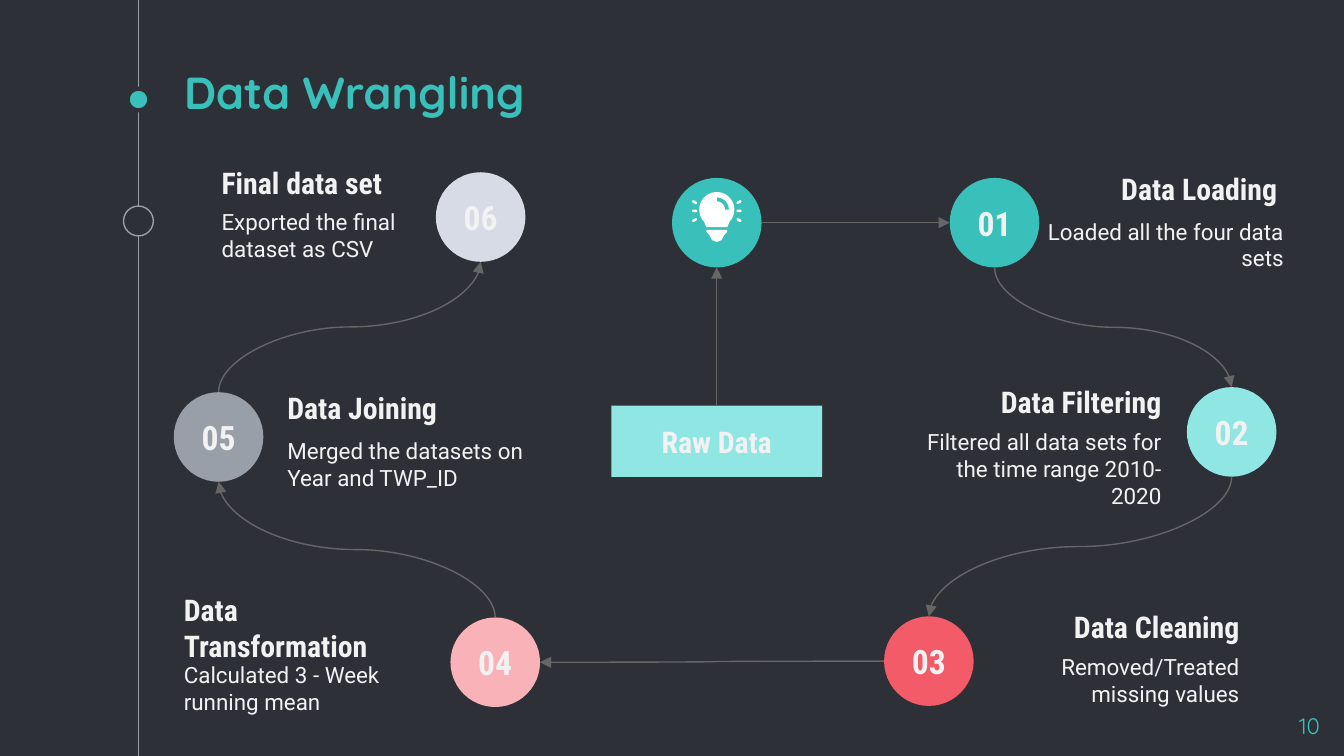
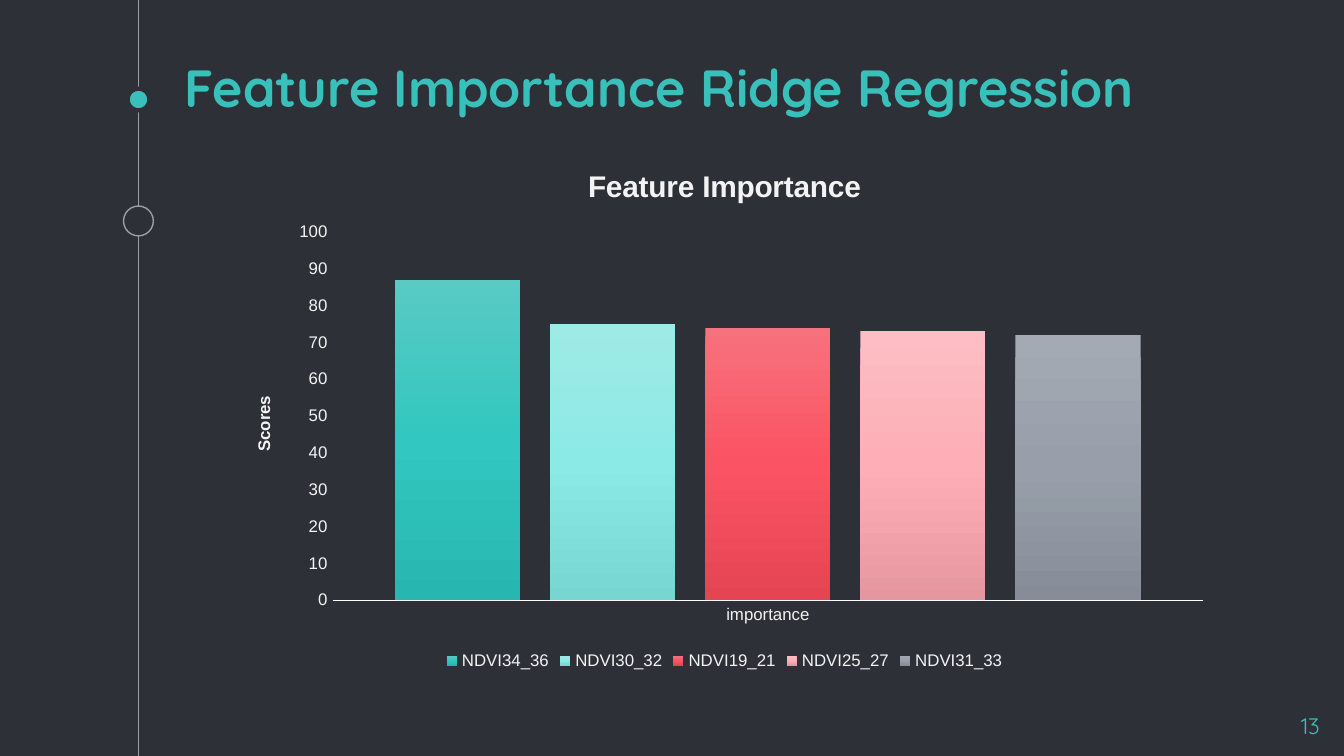
from copy import deepcopy
from math import cos, radians, sin

from lxml import etree
from pptx import Presentation
from pptx.chart.data import CategoryChartData
from pptx.dml.color import RGBColor
from pptx.enum.chart import XL_CHART_TYPE, XL_LEGEND_POSITION, XL_TICK_MARK
from pptx.enum.shapes import MSO_CONNECTOR, MSO_SHAPE
from pptx.enum.text import MSO_ANCHOR, MSO_AUTO_SIZE, PP_ALIGN
from pptx.oxml.ns import qn
from pptx.util import Pt

LEFT, CENTER, RIGHT = PP_ALIGN.LEFT, PP_ALIGN.CENTER, PP_ALIGN.RIGHT
TOP, MIDDLE, BOTTOM = MSO_ANCHOR.TOP, MSO_ANCHOR.MIDDLE, MSO_ANCHOR.BOTTOM
OVAL, RECTANGLE = MSO_SHAPE.OVAL, MSO_SHAPE.RECTANGLE
ROUNDED = MSO_SHAPE.ROUNDED_RECTANGLE
STRAIGHT, CURVE = MSO_CONNECTOR.STRAIGHT, MSO_CONNECTOR.CURVE
COLUMNS = XL_CHART_TYPE.COLUMN_CLUSTERED
LEGEND_BOTTOM = XL_LEGEND_POSITION.BOTTOM
NO_TICK = XL_TICK_MARK.NONE
NO_AUTOFIT = MSO_AUTO_SIZE.NONE

HEX = {
    "night": "2E3037", "teal": "39C0BA", "aqua": "90E6E2", "red": "F35B69",
    "pink": "FAB2B9", "grey": "999FA9", "mist": "D7DBE6", "text": "F2F2F2",
    "arrow": "666666", "white": "FFFFFF", "axis": "FDFDFD", "label": "F3F3F3",
}
COLOUR = {name: RGBColor.from_string(value) for name, value in HEX.items()}

HEADING = {"name": "Roboto Condensed", "size": Pt(16), "bold": True}
NUMBER = {**HEADING, "size": Pt(18)}
BODY = {"name": "Roboto", "size": Pt(12), "bold": False}
PAGE = {"name": "Quicksand", "size": Pt(12), "bold": False}
CHART_LABEL = {"name": "Arial", "size": Pt(9), "bold": False}


def put(slide, box, kind=None, fill=None, line=None, text="", font=None,
        align=CENTER, anchor=MIDDLE, colour="text"):
    box = [Pt(length) for length in box]
    if kind is None:
        shape = slide.shapes.add_textbox(*box)
    else:
        shape = slide.shapes.add_shape(kind, *box)
        shape.shadow.inherit = False
        shape.fill.solid()
        shape.fill.fore_color.rgb = COLOUR[fill]
        if line:
            shape.line.color.rgb = COLOUR[line[0]]
            shape.line.width = Pt(line[1])
        else:
            shape.line.fill.background()
    if text:
        frame = shape.text_frame
        frame.word_wrap = True
        frame.vertical_anchor = anchor
        for side in ("left", "top", "right", "bottom"):
            setattr(frame, f"margin_{side}", Pt(7.2))
        paragraph = frame.paragraphs[0]
        paragraph.alignment = align
        run = paragraph.add_run()
        run.text = text
        for attribute, value in font.items():
            setattr(run.font, attribute, value)
        run.font.color.rgb = COLOUR[colour]
    return shape


def link(slide, kind, start, end, arrow="a:tailEnd", colour="arrow"):
    connector = slide.shapes.add_connector(
        kind, *[Pt(length) for length in (*start, *end)])
    connector.line.width = Pt(0.75)
    connector.line.color.rgb = COLOUR[colour]
    properties = connector.element.spPr
    if arrow:
        etree.SubElement(properties.find(qn("a:ln")), qn(arrow), type="triangle")
    etree.SubElement(properties, qn("a:effectLst"))
    return connector


prs = Presentation()
prs.slide_width, prs.slide_height = Pt(720), Pt(405)
background = prs.slide_master.background.fill
background.solid()
background.fore_color.rgb = COLOUR["night"]
layout = prs.slide_layouts[5]
for footer in list(layout.placeholders)[1:]:
    footer.element.getparent().remove(footer.element)

slides = []
for title_text, title_size, page in (
    ("Data Wrangling", 24, "10"),
    ("Feature Importance Ridge Regression", 28, "13"),
):
    slide = prs.slides.add_slide(layout)
    slides.append(slide)
    title = slide.shapes.title
    title.left, title.top, title.width, title.height = Pt(91.4), Pt(43.2), Pt(540), Pt(27.4)
    title.text = title_text
    frame = title.text_frame
    frame.auto_size = NO_AUTOFIT
    frame.word_wrap = True
    frame.vertical_anchor = BOTTOM
    for side in ("left", "top", "right", "bottom"):
        setattr(frame, f"margin_{side}", Pt(7.2))
    paragraph = frame.paragraphs[0]
    paragraph.alignment = LEFT
    title_font = paragraph.runs[0].font
    for attribute, value in {"name": "Quicksand", "size": Pt(title_size), "bold": True}.items():
        setattr(title_font, attribute, value)
    title_font.color.rgb = COLOUR["teal"]
    put(slide, (671, 374.4, 43.2, 24.5), text=page, font=PAGE,
        align=RIGHT, anchor=TOP, colour="teal")

wrangling, importance = slides

spine = link(wrangling, STRAIGHT, (74.2, 0), (74.2, 405), None, "grey")
dot = put(wrangling, (68.4, 47.5, 11.6, 11.6), OVAL, "teal", ("night", 2.25))
ring = put(wrangling, (66.2, 110.4, 16, 16), OVAL, "night", ("grey", 0.75))
for part in (spine, dot, ring):
    layout.shapes.element.append(part.element)

DIAMETER = 48
RADIUS = DIAMETER / 2
steps = (
    ("01", "teal", (508.8, 95.3), RIGHT, "Data Loading", (548, 90),
     "Loaded all the four data sets", (551.5, 115.2)),
    ("02", "aqua", (635.8, 207.4), RIGHT, "Data Filtering", (486, 204.5),
     "Filtered all data sets for the time range 2010-2020", (486, 235.4)),
    ("03", "red", (473.6, 330.2), RIGHT, "Data Cleaning", (527.8, 324.7),
     "Removed/Treated missing values", (527.8, 348.5)),
    ("04", "pink", (241.3, 330.8), LEFT, "Data Transformation", (91.4, 325.4),
     "Calculated 3 - Week running mean", (91.4, 352.8)),
    ("05", "grey", (93.1, 210.1), LEFT, "Data Joining", (146.9, 207.4),
     "Merged the datasets on Year and TWP_ID", (146.9, 232.6)),
    ("06", "mist", (233.5, 92.3), LEFT, "Final data set", (111.6, 87.1),
     "Exported the final dataset as CSV", (111.6, 110.2)),
)
centre = {}
for number, fill, corner, align, heading, heading_at, body, body_at in steps:
    put(wrangling, (*heading_at, 143.3, 21.6), text=heading, font=HEADING, align=align)
    put(wrangling, (*body_at, 143.3, 31.7), text=body, font=BODY, align=align)
    put(wrangling, (*corner, DIAMETER, DIAMETER), OVAL, fill, text=number, font=NUMBER)
    centre[number] = (corner[0] + RADIUS, corner[1] + RADIUS)

for upper, lower, arrow in (
    ("01", "02", "a:tailEnd"), ("02", "03", "a:tailEnd"),
    ("06", "05", "a:headEnd"), ("05", "04", "a:headEnd"),
):
    x1, y1 = centre[upper][0], centre[upper][1] + RADIUS
    x2, y2 = centre[lower][0], centre[lower][1] - RADIUS
    mid_x, mid_y = (x1 + x2) / 2, (y1 + y2) / 2
    half_run, half_drop = abs(x2 - x1) / 2, (y2 - y1) / 2
    curve = link(wrangling, CURVE, (mid_x - half_drop, mid_y - half_run),
                 (mid_x + half_drop, mid_y + half_run), arrow)
    transform = curve.element.spPr.find(qn("a:xfrm"))
    if x2 > x1:
        transform.set("rot", "16200000")
        transform.set("flipH", "1")
    else:
        transform.set("rot", "5400000")

raw_data = put(wrangling, (327.5, 217.4, 113, 38.2), RECTANGLE, "aqua",
               text="Raw Data", font=HEADING)
idea_x, idea_y = 384, centre["01"][1]
put(wrangling, (idea_x - RADIUS, idea_y - RADIUS, DIAMETER, DIAMETER), OVAL, "teal")
to_idea = link(wrangling, STRAIGHT, (idea_x, 217.4), (idea_x, idea_y + RADIUS))
to_idea.begin_connect(raw_data, 0)
link(wrangling, STRAIGHT, (idea_x + RADIUS, idea_y), (centre["01"][0] - RADIUS, idea_y))
link(wrangling, CURVE, (centre["03"][0] - RADIUS, centre["03"][1]),
     (centre["04"][0] + RADIUS, centre["04"][1]))

bulb_y = 112.3
arcs = [
    [(radius * cos(radians(angle)), radius * sin(radians(angle))) for angle in angles]
    for radius, angles in (
        (9.4, range(137, 404, 7)), (6.5, range(-90, 1, 10)), (4.4, range(0, -91, -10)))
]
glass = arcs[0] + [(5.6, 9.4), (-5.6, 9.4)]
glint = arcs[1] + arcs[2]
socket = [(-5.5, 10.8), (5.5, 10.8), (5.5, 12), (3.9, 13.7), (2.5, 16.4),
          (0, 17.3), (-2.5, 16.4), (-3.9, 13.7), (-5.5, 12)]
for contours in ((glass, glint), (socket,)):
    builder = None
    for contour in contours:
        points = [(Pt(idea_x + x), Pt(bulb_y + y)) for x, y in contour]
        if builder is None:
            builder = wrangling.shapes.build_freeform(*points[0], scale=1.0)
        else:
            builder.move_to(*points[0])
        builder.add_line_segments(points[1:], close=True)
    outline = builder.convert_to_shape()
    outline.shadow.inherit = False
    outline.fill.solid()
    outline.fill.fore_color.rgb = COLOUR["white"]
    outline.line.fill.background()

for side in (-1, 1):
    for rise, tilt in ((-4, -30), (0.7, 0), (5.6, 30)):
        ray = put(wrangling, (idea_x + side * 11.9 - 1.4, bulb_y + rise - 0.7, 2.8, 1.4),
                  ROUNDED, "white")
        ray.adjustments[0] = 0.5
        ray.rotation = side * tilt

features = (
    ("NDVI34_36", 87, ("59CAC4", "32C7C0", "27B7B0")),
    ("NDVI30_32", 75, ("9EEAE6", "8CEAE6", "77D6D1")),
    ("NDVI19_21", 74, ("F6727D", "FB5363", "E54453")),
    ("NDVI25_27", 73, ("FCBEC4", "FEAEB6", "E5979F")),
    ("NDVI31_33", 72, ("A4AAB3", "989FAA", "868D98")),
)
scores = CategoryChartData()
scores.categories = ["importance"]
for feature, score, _ in features:
    scores.add_series(feature, [score])
chart = importance.shapes.add_chart(
    COLUMNS, Pt(121), Pt(77), Pt(534.2), Pt(285.1), scores).chart
chart.font.name, chart.font.size = "Arial", Pt(10)
chart.has_title = chart.has_legend = True
chart.chart_title.include_in_layout = False
chart.legend.position = LEGEND_BOTTOM
chart.legend.include_in_layout = False

category_axis, value_axis = chart.category_axis, chart.value_axis
for axis in (category_axis, value_axis):
    axis.major_tick_mark = axis.minor_tick_mark = NO_TICK
    axis.has_major_gridlines = False
category_axis.format.line.color.rgb = COLOUR["axis"]
category_axis.format.line.width = Pt(0.75)
value_axis.format.line.fill.background()
for attribute, value in {"minimum_scale": 0, "maximum_scale": 100, "major_unit": 10}.items():
    setattr(value_axis, attribute, value)
value_axis.has_title = True

chart_fonts = [
    (chart.legend.font, CHART_LABEL),
    (category_axis.tick_labels.font, CHART_LABEL),
    (value_axis.tick_labels.font, CHART_LABEL),
]
for holder, words, size in (
    (chart.chart_title, "Feature Importance", 16),
    (value_axis.axis_title, "Scores", 9),
):
    holder.text_frame.text = words
    chart_fonts.append((holder.text_frame.paragraphs[0].runs[0].font,
                        {**CHART_LABEL, "size": Pt(size), "bold": True}))
for font, values in chart_fonts:
    for attribute, value in values.items():
        setattr(font, attribute, value)
    font.color.rgb = COLOUR["label"]

plot = chart.plots[0]
plot.gap_width, plot.overlap, plot.vary_by_categories = 100, -24, False
for series, element, (_, _, shades) in zip(
        plot.series, chart.element.iter(qn("c:ser")), features):
    fill = series.format.fill
    fill.gradient()
    fill.gradient_angle = 270
    stops = next(element.iter(qn("a:gsLst")))
    stops.insert(1, deepcopy(stops[0]))
    for stop, position, shade in zip(fill.gradient_stops, (0, 0.5, 1), shades):
        stop.position = position
        stop.color.rgb = RGBColor.from_string(shade)

prs.save("out.pptx")
